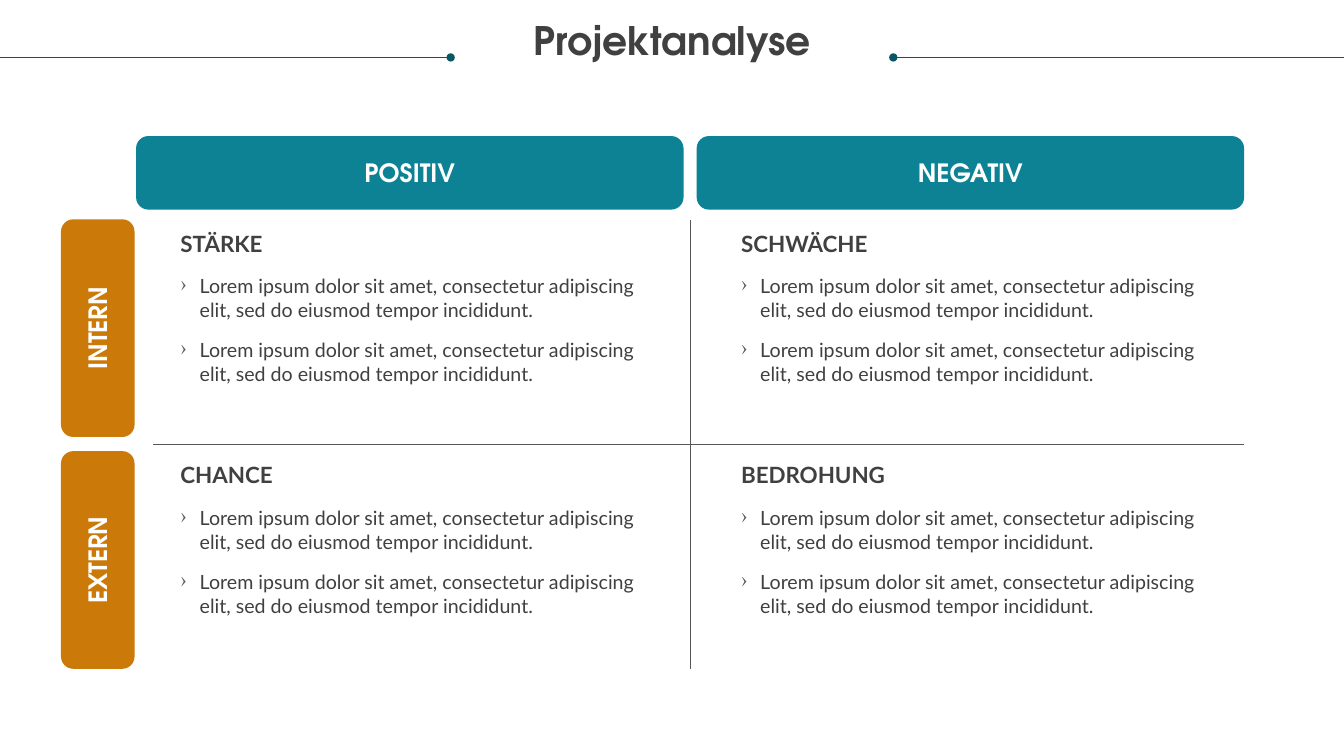
from dataclasses import dataclass

from lxml.etree import SubElement
from pptx import Presentation
from pptx.dml.color import RGBColor
from pptx.enum.shapes import MSO_CONNECTOR, MSO_SHAPE
from pptx.enum.text import MSO_ANCHOR, MSO_AUTO_SIZE, PP_ALIGN
from pptx.oxml.ns import qn
from pptx.util import Inches, Pt

DISPLAY, BODY = "TeX Gyre Adventor", "Lato"
TEAL, DARK_TEAL, ORANGE = "0D8295", "085764", "CB7A09"
TEXT, GREY, WHITE = "404040", "585858", "FFFFFF"
COLUMN_STEP, ROW_STEP = 5.56, 2.3
LOREM = ("Lorem ipsum dolor sit amet, consectetur adipiscing elit, "
         "sed do eiusmod tempor incididunt.")

TITLE_FONT = {"name": DISPLAY, "size": Pt(28), "bold": True}
LABEL_FONT = {"name": DISPLAY, "size": Pt(18), "bold": True}
HEADING_FONT = {"name": BODY, "size": Pt(16), "bold": True}
BULLET_FONT = {"name": BODY, "size": Pt(14), "bold": False}


@dataclass
class Bar:
    text: str
    left: float
    top: float
    width: float
    color: str
    rotation: int = 0


@dataclass
class Rule:
    x1: float
    y1: float
    x2: float
    y2: float
    color: str
    dot: bool = False


@dataclass
class Quadrant:
    heading: str
    column: int
    row: int


BARS = [
    Bar("POSITIV", 1.35, 1.35, 5.43, TEAL),
    Bar("NEGATIV", 1.35 + COLUMN_STEP, 1.35, 5.43, TEAL),
    Bar("INTERN", -0.11, 2.89, 2.16, ORANGE, 270),
    Bar("EXTERN", -0.11, 2.89 + ROW_STEP, 2.16, ORANGE, 270),
]
RULES = [
    Rule(0, 0.57, 4.47, 0.57, DARK_TEAL, dot=True),
    Rule(13.33, 0.57, 8.86, 0.57, DARK_TEAL, dot=True),
    Rule(1.52, 4.41, 12.34, 4.41, GREY),
    Rule(6.85, 2.18, 6.85, 6.64, GREY),
]
QUADRANTS = [
    Quadrant("STÄRKE", 0, 0),
    Quadrant("SCHWÄCHE", 1, 0),
    Quadrant("CHANCE", 0, 1),
    Quadrant("BEDROHUNG", 1, 1),
]


def rgb(color: str) -> RGBColor:
    return RGBColor.from_string(color)


def inches(*values: float) -> list:
    return [Inches(value) for value in values]


def set_attributes(target, values: dict) -> None:
    for name, value in values.items():
        setattr(target, name, value)


def write(p, text: str, font: dict, color: str = TEXT) -> None:
    r = p.add_run()
    r.text = text
    set_attributes(r.font, font)
    r.font.color.rgb = rgb(color)


def format_frame(tf) -> None:
    set_attributes(tf, {
        "margin_left": 0, "margin_top": 0, "margin_right": 0, "margin_bottom": 0,
        "word_wrap": True, "auto_size": MSO_AUTO_SIZE.NONE,
        "vertical_anchor": MSO_ANCHOR.TOP,
    })


def add_text_frame(s, left: float, top: float, width: float, height: float):
    tf = s.shapes.add_textbox(*inches(left, top, width, height)).text_frame
    format_frame(tf)
    return tf


def add_title(s, text: str) -> None:
    title = s.shapes.title
    left, top, width, height = inches(0.25, 0.21, 12.83, 0.73)
    set_attributes(title, {"left": left, "top": top, "width": width, "height": height})
    format_frame(title.text_frame)
    p = title.text_frame.paragraphs[0]
    set_attributes(p, {"alignment": PP_ALIGN.CENTER, "line_spacing": 0.9})
    write(p, text, TITLE_FONT)


def add_bar(s, bar: Bar) -> None:
    sp = s.shapes.add_shape(MSO_SHAPE.ROUNDED_RECTANGLE,
                            *inches(bar.left, bar.top, bar.width, 0.73))
    sp.rotation = bar.rotation
    sp.shadow.inherit = False
    sp.fill.solid()
    sp.fill.fore_color.rgb = rgb(bar.color)
    sp.line.fill.background()
    sp.text_frame.vertical_anchor = MSO_ANCHOR.MIDDLE
    p = sp.text_frame.paragraphs[0]
    p.alignment = PP_ALIGN.CENTER
    write(p, bar.text, LABEL_FONT, WHITE)


def add_rule(s, rule: Rule) -> None:
    line = s.shapes.add_connector(MSO_CONNECTOR.STRAIGHT,
                                  *inches(rule.x1, rule.y1, rule.x2, rule.y2))
    line.line.color.rgb = rgb(rule.color)
    line.line.width = Pt(0.5)
    if rule.dot:
        SubElement(line.line._get_or_add_ln(), qn("a:tailEnd"), type="oval")
    SubElement(line._element.spPr, qn("a:effectLst"))


def add_bullet(p, text: str) -> None:
    p.space_before = Pt(12)
    pPr = p._p.get_or_add_pPr()
    pPr.set("marL", str(Inches(0.19)))
    pPr.set("indent", str(-Inches(0.19)))
    SubElement(SubElement(pPr, qn("a:buClr")), qn("a:srgbClr"), val=GREY)
    SubElement(pPr, qn("a:buChar"), char="›")
    write(p, text, BULLET_FONT)


def add_quadrant(s, quadrant: Quadrant) -> None:
    left = 1.79 + quadrant.column * COLUMN_STEP
    top = 2.28 + quadrant.row * ROW_STEP
    heading = add_text_frame(s, left, top, 4.55, 0.27)
    write(heading.paragraphs[0], quadrant.heading, HEADING_FONT)

    bullets = add_text_frame(s, left, top + 0.44, 4.55, 1.11)
    for p in (bullets.paragraphs[0], bullets.add_paragraph()):
        add_bullet(p, LOREM)


def main() -> None:
    prs = Presentation()
    prs.slide_width, prs.slide_height = inches(13.33, 7.5)
    s = prs.slides.add_slide(prs.slide_layouts[5])

    # Title with its dotted side lines, and the matrix axes
    add_title(s, "Projektanalyse")
    for rule in RULES:
        add_rule(s, rule)

    # Column and row labels
    for bar in BARS:
        add_bar(s, bar)

    # Contents of the four fields
    for quadrant in QUADRANTS:
        add_quadrant(s, quadrant)

    prs.save("out.pptx")


if __name__ == "__main__":
    main()
